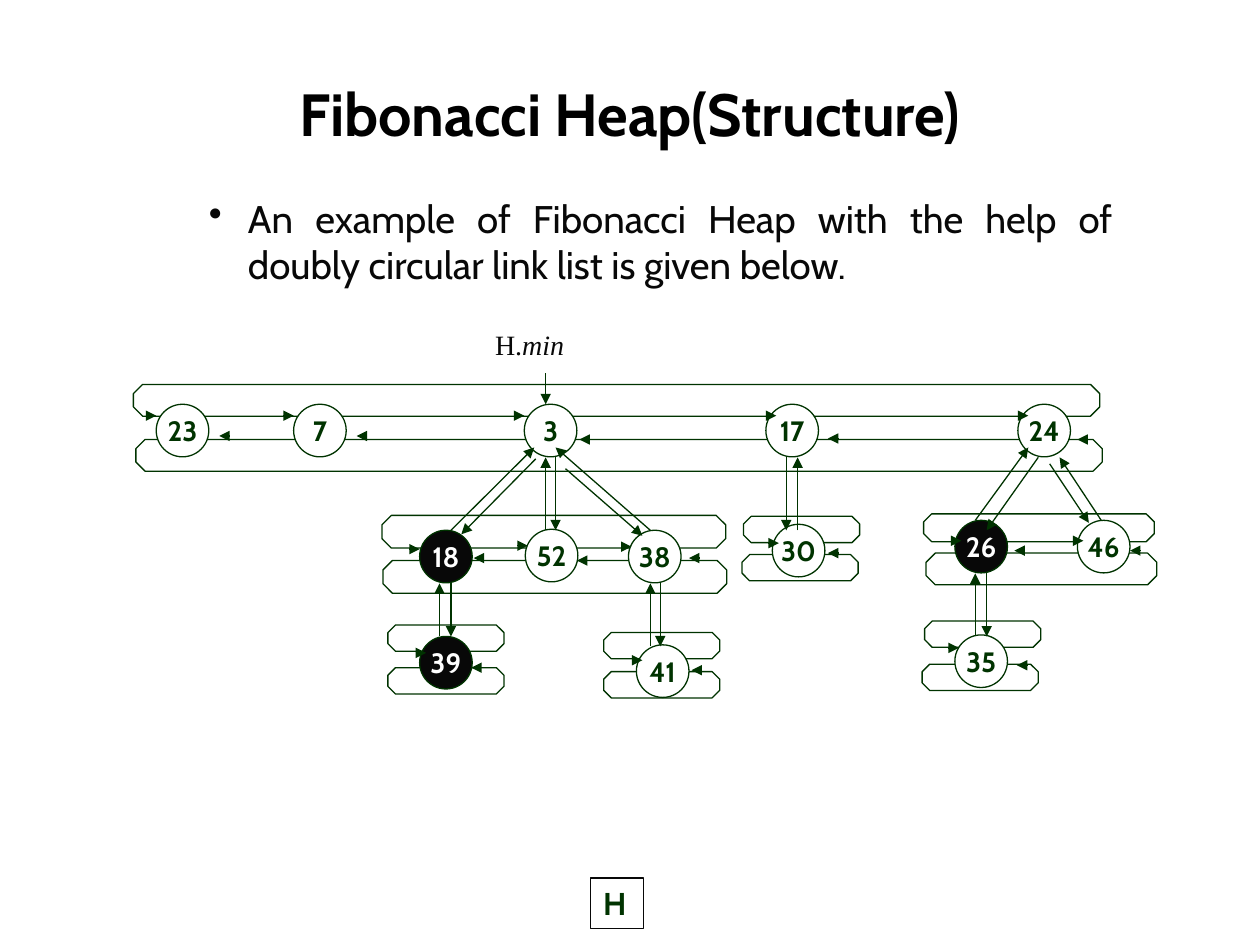
from lxml import etree
from pptx import Presentation
from pptx.dml.color import RGBColor
from pptx.enum import shapes, text
from pptx.oxml import ns
from pptx.util import Cm, Pt

GREEN = RGBColor(0x00, 0x33, 0x00)
INK = RGBColor(0x08, 0x08, 0x08)
BLACK = RGBColor(0x00, 0x00, 0x00)
WHITE = RGBColor(0xFF, 0xFF, 0xFF)
SANS, SERIF = "Cabin", "Times New Roman"

NODE_SIZE = 1.06
ROOT_TOP = 8.15
TIP_LENGTH = 0.21
MARKED = {"18", "39", "26"}

# Sibling rings: width, height, then the left and top of each half
RINGS = [
    (19.48, 0.64, [(2.74, 8.86), (2.69, 7.75)]),
    (6.93, 0.66, [(7.72, 11.3), (7.7, 10.39)]),
    (4.65, 0.64, [(18.67, 11.15)]),
    (4.65, 0.56, [(18.62, 10.36)]),
    (2.34, 0.53, [(18.59, 13.39), (18.64, 12.52), (14.99, 10.41), (14.96, 11.18),
                  (12.17, 12.75), (12.17, 13.54), (7.82, 13.46), (7.82, 12.6)]),
]

# Key: left, top
NODES = {
    "23": (3.15, ROOT_TOP), "7": (5.92, ROOT_TOP), "3": (10.57, ROOT_TOP),
    "17": (15.44, ROOT_TOP), "24": (20.52, ROOT_TOP),
    "18": (8.46, 10.69), "52": (10.59, 10.67), "38": (12.67, 10.69),
    "30": (15.57, 10.57), "26": (19.25, 10.49), "46": (21.72, 10.49),
    "39": (8.46, 12.83), "41": (12.83, 13), "35": (19.25, 12.8),
}

# Points of the short arrows that lead to the right and left sibling
RIGHT_TIPS = [
    (3.15, 8.38), (5.92, 8.38), (10.57, 8.38), (15.65, 8.38), (20.73, 8.38),
    (8.46, 11.07), (10.64, 11), (12.73, 11.02), (15.7, 10.95), (19.38, 10.9),
    (21.84, 10.9), (8.59, 13.16), (12.95, 13.31), (19.33, 13.06),
]
LEFT_TIPS = [
    (4.42, 8.79), (7.19, 8.79), (11.68, 8.86), (16.69, 8.84), (21.72, 8.86),
    (9.55, 11.25), (11.63, 11.3), (13.89, 11.25), (16.69, 11.15), (20.45, 11.1),
    (22.78, 11.1), (9.5, 13.46), (13.94, 13.51), (20.5, 13.41),
]

MIN_POINTER = (11, 7.52, 11, ROOT_TOP)

# Vertical parent-child pairs: x going up, x going down, top, bottom
UPRIGHT_LINKS = [
    (11, 11.2, 9.22, 10.69), (16.08, 15.85, 9.22, 10.69),
    (8.86, 9.09, 11.76, 12.83), (13.11, 13.31, 11.76, 13.03),
    (19.66, 19.89, 11.56, 12.83),
]
SLANTED_LINKS = [
    (9.09, 10.69, 10.77, 9.02), (10.8, 9.25, 9.3, 10.77),
    (13.11, 10.69, 11.2, 9.02), (11.4, 9.45, 12.95, 10.8),
    (19.66, 10.49, 20.73, 9.02), (20.93, 9.22, 19.89, 10.69),
    (22.2, 10.49, 21.36, 9.22), (21.16, 9.35, 21.95, 10.54),
]


def style_font(font, size, color, name=SANS, bold=False):
    font.name, font.size, font.bold = name, Pt(size), bold
    font.color.rgb = color


def add_outlined(parent, preset, left, top, width, height, line, fill=None):
    shape = parent.add_shape(preset, Cm(left), Cm(top), Cm(width), Cm(height))
    shape.shadow.inherit = False
    if fill is None:
        shape.fill.background()
    else:
        shape.fill.solid()
        shape.fill.fore_color.rgb = fill
    shape.line.color.rgb = line
    shape.line.width = Pt(0.75)
    return shape


def add_text(parent, left, top, width, height, wrap=True):
    """Add an empty text box and return its frame."""
    frame = parent.add_textbox(Cm(left), Cm(top), Cm(width), Cm(height)).text_frame
    frame.word_wrap = wrap
    return frame


def add_title(parent):
    frame = add_text(parent, 1.27, 1.27, 22.86, 2)
    frame.vertical_anchor = text.MSO_ANCHOR.MIDDLE
    title = frame.paragraphs[0]
    title.text = "Fibonacci Heap(Structure)"
    title.alignment = text.PP_ALIGN.CENTER
    style_font(title.font, 34, BLACK, bold=True)


def add_bullet(parent):
    item = add_text(parent, 2.69, 3.81, 19.99, 5.94).paragraphs[0]
    item.text = ("An example of Fibonacci Heap with the help of "
                 "doubly circular link list is given below.")
    item.alignment = text.PP_ALIGN.JUSTIFY
    props = item._p.get_or_add_pPr()
    props.set("marL", str(Cm(2.06)))
    props.set("indent", str(Cm(-0.79)))
    etree.SubElement(props, ns.qn("a:buChar")).set("char", "•")
    style_font(item.font, 22, INK)


def add_heap_label(parent):
    box = add_outlined(parent, shapes.MSO_SHAPE.RECTANGLE, 11.91, 17.7, 1.07, 1.02, INK, WHITE)
    box.text_frame.vertical_anchor = text.MSO_ANCHOR.TOP
    label = box.text_frame.paragraphs[0]
    label.text = "H"
    label.alignment = text.PP_ALIGN.LEFT
    style_font(label.font, 18, GREEN, bold=True)


def add_min_label(parent):
    label = add_text(parent, 9.73, 6.48, 1.93, 0.94, wrap=False).paragraphs[0]
    for part, italic in (("H.", False), ("min", True)):
        run = label.add_run()
        run.text = part
        style_font(run.font, 16, INK, SERIF)
        run.font.italic = italic


def add_ring_half(parent, left, top, width, height):
    half = add_outlined(parent, shapes.MSO_SHAPE.OCTAGON, left, top, width, height, GREEN)
    half.adjustments[0] = 0.29


def add_node(parent, key, left, top):
    marked = key in MARKED
    node = add_outlined(parent, shapes.MSO_SHAPE.OVAL, left, top, NODE_SIZE, NODE_SIZE,
                        GREEN, INK if marked else WHITE)
    frame = node.text_frame
    frame.word_wrap = False
    frame.vertical_anchor = text.MSO_ANCHOR.MIDDLE
    label = frame.paragraphs[0]
    label.text = key
    label.alignment = text.PP_ALIGN.CENTER
    style_font(label.font, 16, WHITE if marked else GREEN, bold=True)


def add_arrow(parent, x1, y1, x2, y2):
    arrow = parent.add_connector(shapes.MSO_CONNECTOR.STRAIGHT, Cm(x1), Cm(y1), Cm(x2), Cm(y2))
    arrow.line.color.rgb = GREEN
    arrow.line.width = Pt(0.75)
    etree.SubElement(arrow.line._get_or_add_ln(), ns.qn("a:tailEnd")).set("type", "triangle")
    etree.SubElement(arrow._element.spPr, ns.qn("a:effectLst"))


def add_heap(parent):
    for width, height, halves in RINGS:
        for left, top in halves:
            add_ring_half(parent, left, top, width, height)
    for key, (left, top) in NODES.items():
        add_node(parent, key, left, top)
    add_min_label(parent)
    for tips, step in ((RIGHT_TIPS, -TIP_LENGTH), (LEFT_TIPS, TIP_LENGTH)):
        for x, y in tips:
            add_arrow(parent, x + step, y, x, y)
    for up, down, top, bottom in UPRIGHT_LINKS:
        add_arrow(parent, up, bottom, up, top)
        add_arrow(parent, down, top, down, bottom)
    for link in SLANTED_LINKS + [MIN_POINTER]:
        add_arrow(parent, *link)


def main():
    deck = Presentation()
    deck.slide_width, deck.slide_height = Cm(25.4), Cm(19.05)
    slide = deck.slides.add_slide(deck.slide_layouts[6])
    add_title(slide.shapes)
    add_bullet(slide.shapes)
    add_heap_label(slide.shapes)
    add_heap(slide.shapes.add_group_shape().shapes)
    deck.save("out.pptx")


if __name__ == "__main__":
    main()
